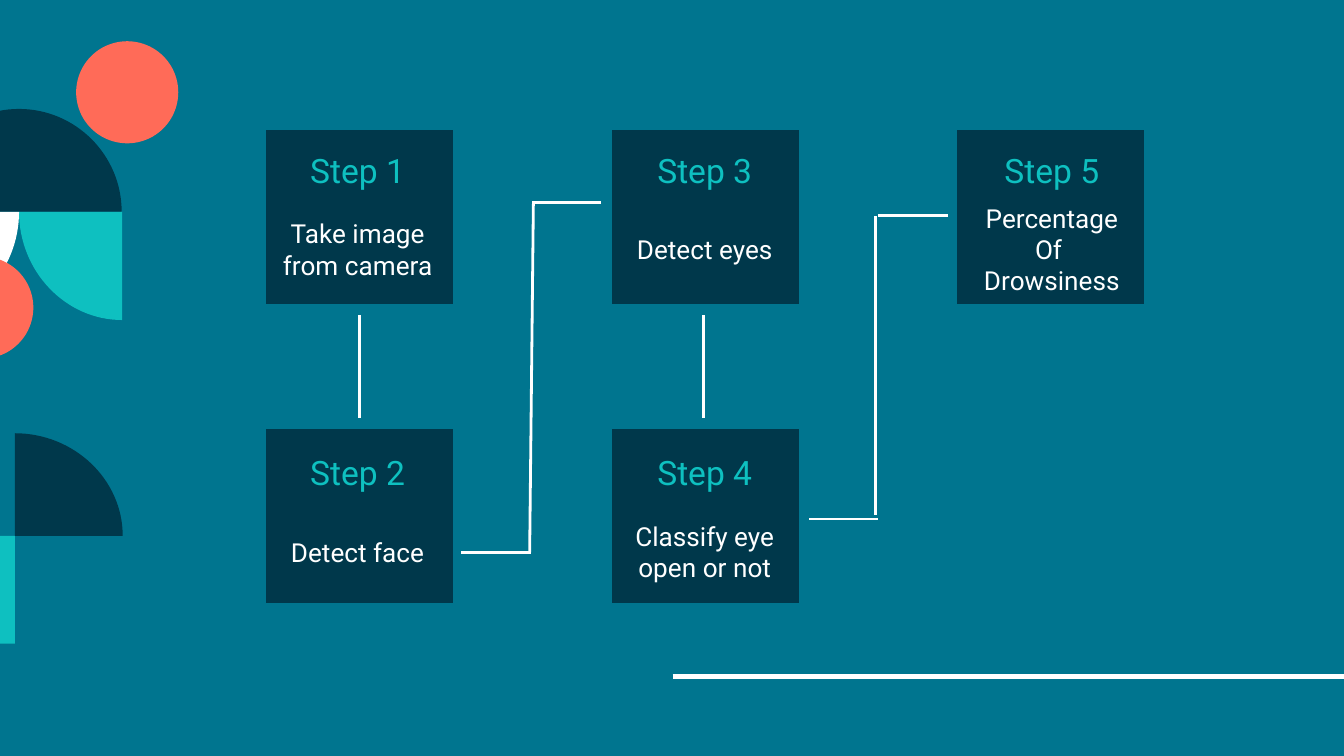
import math
import pptx
import pptx.util
import pptx.dml.color
import pptx.enum.shapes
import pptx.enum.text
import pptx.oxml.ns
import lxml.etree

Cm = pptx.util.Cm
Pt = pptx.util.Pt
qn = pptx.oxml.ns.qn
KINDS = pptx.enum.shapes.MSO_SHAPE
WHITE, NAVY, TEAL, CORAL, SEA = "FFFFFF", "00384B", "0EC0C0", "FF6B58", "00758F"
ARC_PULL = 0.55


def paint(color_format, color):
    color_format.solid()
    color_format.fore_color.rgb = pptx.dml.color.RGBColor.from_string(color)


def connect(x1, y1, x2, y2, weight):
    link = slide.shapes.add_connector(
        pptx.enum.shapes.MSO_CONNECTOR.STRAIGHT, Cm(x1), Cm(y1), Cm(x2), Cm(y2))
    paint(link.line.fill, WHITE)
    link.line.width = Pt(weight)
    lxml.etree.SubElement(link._element.spPr, qn("a:effectLst"))


deck = pptx.Presentation()
deck.slide_width, deck.slide_height = Cm(25.4), Cm(14.29)
slide = deck.slides.add_slide(deck.slide_layouts[6])
paint(slide.background.fill, SEA)

connect(12.71, 12.79, 25.55, 12.79, 3)

flow_lines = [
    (6.8, 4.09, 6.8, 9.73),
    (10.08, 3.86, 10.01, 10.44),
    (13.3, 4.09, 13.3, 9.73),
    (16.54, 4.09, 16.54, 9.73),
    (10.03, 10.44, 8.71, 10.44),
    (11.36, 3.83, 10.06, 3.83),
    (16.59, 9.81, 15.29, 9.81),
    (17.91, 4.07, 16.59, 4.07),
]
for x1, y1, x2, y2 in flow_lines[:4]:
    connect(x1, y1, x2, y2, 1.5)

steps = [
    (0, 0, ["Take image from camera"]),
    (0, 1, ["Detect face"]),
    (1, 0, ["Detect eyes"]),
    (1, 1, ["Classify eye open or not"]),
    (2, 0, ["Percentage", "Of ", "Drowsiness"]),
]
for column, row, description in steps:
    card = slide.shapes.add_shape(
        KINDS.RECTANGLE, Cm(4.93 + 6.53 * column), Cm(2.35 + 5.65 * row), Cm(3.74), Cm(3.5))
    card.shadow.inherit = False
    paint(card.fill, NAVY)
    paint(card.line.fill, SEA)
    card.line.width = Pt(6)

sectors = [
    (2.31, 4, 1.95, 2.05, [90], TEAL),
    (-1.57, 4, 1.93, 2.05, [0], WHITE),
    (0.36, 4, 1.94, 1.94, [180, 270], NAVY),
    (0.28, 10.13, 2.04, 1.94, [270], NAVY),
]
for x, y, radius_x, radius_y, quarters, color in sectors:
    points = []
    for angle in quarters:
        cos, sin = (round(f(math.radians(angle))) for f in (math.cos, math.sin))
        curve = [(cos, sin), (cos - ARC_PULL * sin, sin + ARC_PULL * cos),
                 (ARC_PULL * cos - sin, ARC_PULL * sin + cos), (-sin, cos)]
        points += curve[1:] if points else curve
    outline = slide.shapes.build_freeform(Cm(x), Cm(y))
    outline.add_line_segments(
        [(Cm(x + radius_x * u), Cm(y + radius_y * v)) for u, v in points], close=True)
    sector = outline.convert_to_shape()
    segments = list(sector._element.iter(qn("a:lnTo")))[1:]
    for first in range(0, 3 * len(quarters), 3):
        curve_element = lxml.etree.Element(qn("a:cubicBezTo"))
        segments[first].addprevious(curve_element)
        for segment in segments[first:first + 3]:
            curve_element.append(segment[0])
            segment.getparent().remove(segment)
    sector.shadow.inherit = False
    paint(sector.fill, color)
    sector.line.fill.background()

ornaments = [
    (KINDS.OVAL, 1.44, 0.78, 1.93, 1.93, CORAL),
    (KINDS.OVAL, -1.3, 4.85, 1.93, 1.93, CORAL),
    (KINDS.RECTANGLE, -1.57, 10.13, 1.85, 2.04, TEAL),
]
for kind, left, top, width, height, color in ornaments:
    ornament = slide.shapes.add_shape(kind, Cm(left), Cm(top), Cm(width), Cm(height))
    ornament.shadow.inherit = False
    paint(ornament.fill, color)
    ornament.line.fill.background()

for number, (column, row, description) in enumerate(steps, 1):
    center = 6.76 + 6.56 * column
    captions = [
        (description, 4.09, 3.91, 14, WHITE),
        ([f"Step {number}"], 2.59, 2.67, 18, TEAL),
    ]
    for lines, top, width, size, color in captions:
        caption = slide.shapes.add_textbox(
            Cm(center - width / 2), Cm(top + 5.72 * row), Cm(width), Cm(1.24))
        frame = caption.text_frame
        frame.word_wrap = True
        frame.vertical_anchor = pptx.enum.text.MSO_ANCHOR.MIDDLE
        frame.margin_left = frame.margin_right = Cm(0.25)
        frame.margin_top = frame.margin_bottom = Cm(0.25)
        for index, line in enumerate(lines):
            paragraph = frame.add_paragraph() if index else frame.paragraphs[0]
            paragraph.alignment = pptx.enum.text.PP_ALIGN.CENTER
            run = paragraph.add_run()
            run.text = line
            run.font.name = "Roboto"
            run.font.size = Pt(size)
            paint(run.font.fill, color)

for x1, y1, x2, y2 in flow_lines[4:]:
    connect(x1, y1, x2, y2, 1.5)

deck.save("out.pptx")
